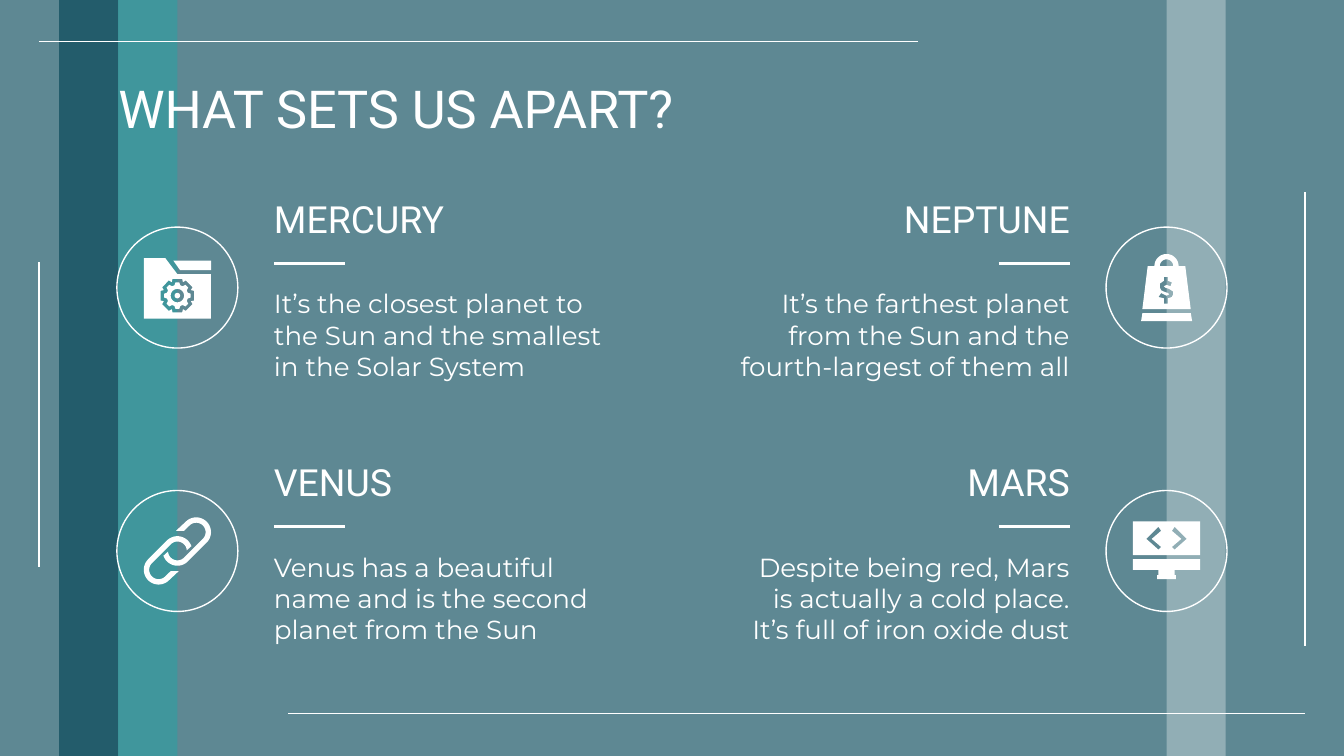
from dataclasses import dataclass
from math import cos, radians, sin

from lxml import etree
from pptx import Presentation
from pptx.dml.color import RGBColor
from pptx.enum.shapes import MSO_CONNECTOR, MSO_SHAPE
from pptx.enum.text import MSO_ANCHOR, MSO_AUTO_SIZE, PP_ALIGN
from pptx.oxml.ns import qn
from pptx.util import Inches, Pt

STRAIGHT = MSO_CONNECTOR.STRAIGHT
RECTANGLE, OVAL = MSO_SHAPE.RECTANGLE, MSO_SHAPE.OVAL
LEFT, RIGHT = PP_ALIGN.LEFT, PP_ALIGN.RIGHT
TOP = MSO_ANCHOR.TOP
NO_AUTOFIT = MSO_AUTO_SIZE.NONE
TITLE_ONLY = 5


@dataclass(frozen=True)
class Theme:
    white: str = "FFFFFF"
    deep: str = "014355"
    teal: str = "20A7A7"
    heading_font: str = "Roboto"
    body_font: str = "Montserrat"
    title_size: int = 28
    heading_size: int = 20
    body_size: int = 14
    thin: float = 0.75
    thick: float = 1.5


THEME = Theme()
WIDTH = 10
HEIGHT = WIDTH * 9 / 16
BAND_WIDTH = 0.44
TEXT_WIDTH = 2.7
INSET = 0.1
CIRCLE = 0.9


def write_text(shape, text, *, font, size, align=LEFT, color=THEME.white):
    frame = shape.text_frame
    frame.word_wrap = True
    frame.auto_size = NO_AUTOFIT
    frame.vertical_anchor = TOP
    frame.margin_left = frame.margin_right = Inches(INSET)
    frame.margin_top = frame.margin_bottom = Inches(INSET)
    paragraph = frame.paragraphs[0]
    paragraph.alignment = align
    paragraph.line_spacing = 1.0
    paragraph.space_before = Pt(0)
    run = paragraph.add_run()
    run.text = text
    run.font.name = font
    run.font.size = Pt(size)
    run.font.color.rgb = RGBColor.from_string(color)


def add_text_box(slide, left, top, height, text, **text_format):
    box = slide.shapes.add_textbox(Inches(left), Inches(top), Inches(TEXT_WIDTH), Inches(height))
    write_text(box, text, **text_format)


def fill_shape(shape, color, opacity=100):
    shape.shadow.inherit = False
    shape.fill.solid()
    shape.fill.fore_color.rgb = RGBColor.from_string(color)
    shape.line.fill.background()
    if opacity < 100:
        color_element = shape.fill._xPr.find(qn("a:solidFill"))[0]
        etree.SubElement(color_element, qn("a:alpha"), val=str(opacity * 1000))


def add_line(slide, start, end, weight=THEME.thin):
    line = slide.shapes.add_connector(STRAIGHT, *map(Inches, start + end))
    line.line.color.rgb = RGBColor.from_string(THEME.white)
    line.line.width = Pt(weight)
    etree.SubElement(line._element.spPr, qn("a:effectLst"))


def add_outline(slide, center, *contours):
    center_x, center_y = center
    placed = [
        [(Inches(center_x + x), Inches(center_y + y)) for x, y in contour]
        for contour in contours
    ]
    builder = slide.shapes.build_freeform(*placed[0][0])
    for index, contour in enumerate(placed):
        if index:
            builder.move_to(*contour[0])
        builder.add_line_segments(contour[1:], close=True)
    fill_shape(builder.convert_to_shape(), THEME.white)


def polar(center, radius, angle):
    turn = radians(angle)
    return center[0] + radius * cos(turn), center[1] + radius * sin(turn)


def arc(center, radius, start, end, steps=24):
    return [polar(center, radius, start + (end - start) * step / steps) for step in range(steps + 1)]


def mirrored(points):
    return [(-x, y) for x, y in reversed(points)]


def rectangle(left, top, right, bottom):
    return [(left, top), (right, top), (right, bottom), (left, bottom)]


def gear(center, tip, root, tip_angle, root_angle):
    corners = [(-root_angle, root), (-tip_angle, tip), (tip_angle, tip), (root_angle, root)]
    return [
        polar(center, radius, 45 * tooth + angle)
        for tooth in range(8)
        for angle, radius in corners
    ]


def draw_folder(slide, center):
    hub = (0, 0.06)
    folder = [(-0.25, -0.22), (-0.09, -0.22), (0, -0.1), (0.25, -0.1), (0.25, 0.23), (-0.25, 0.23)]
    add_outline(slide, center, folder, gear(hub, 0.13, 0.11, 16, 22))
    add_outline(slide, center, [(-0.03, -0.2), (0.25, -0.2), (0.25, -0.13), (0.02, -0.13)])
    add_outline(slide, center, gear(hub, 0.1, 0.08, 8, 16), arc(hub, 0.05, 0, 360))
    add_outline(slide, center, arc(hub, 0.02, 0, 360))


def draw_chain(slide, center):
    upper, lower = (0.14, -0.14), (0, 0)
    outer, inner = 0.11, 0.07
    link = (
        [(-0.01, -0.15)]
        + arc(upper, outer, -135, 45)
        + arc(lower, outer, 45, 161)
        + arc(lower, inner, 176, 45)
        + arc(upper, inner, 45, -135)
        + [(0.05, -0.15)]
    )
    add_outline(slide, center, link)
    add_outline(slide, center, [(-x, -y) for x, y in link])


def draw_bag(slide, center):
    hinge = (0, -0.16)
    bag = arc(hinge, 0.09, 180, 360) + [(0.14, -0.16), (0.18, 0.16), (-0.18, 0.16), (-0.14, -0.16)]
    dollar = [
        (-0.02, -0.08), (0.01, -0.08), (0.01, -0.05), (0.04, -0.04), (0.03, -0.01), (0, -0.02),
        (-0.02, -0.01), (-0.01, 0), (0.02, 0.01), (0.05, 0.03), (0.05, 0.05), (0.04, 0.07),
        (0.01, 0.08), (0.01, 0.12), (-0.02, 0.12), (-0.02, 0.08), (-0.06, 0.07), (-0.04, 0.04),
        (-0.02, 0.05), (0, 0.06), (0.02, 0.05), (0.01, 0.04), (-0.02, 0.03), (-0.04, 0.02),
        (-0.05, 0), (-0.05, -0.03), (-0.02, -0.05),
    ]
    add_outline(slide, center, bag, arc(hinge, 0.05, 180, 360), dollar)
    add_outline(slide, center, [(-0.18, 0.19), (0.18, 0.19), (0.19, 0.25), (-0.19, 0.25)])


def draw_monitor(slide, center):
    chevron = [(-0.06, -0.18), (-0.04, -0.15), (-0.11, -0.09), (-0.04, -0.03), (-0.06, -0.01), (-0.15, -0.09)]
    stand = [(-0.25, 0.06), (-0.25, 0.14), (-0.06, 0.14), (-0.06, 0.18), (-0.07, 0.18), (-0.07, 0.21)]
    add_outline(slide, center, rectangle(-0.25, -0.22, 0.25, 0.03), chevron, mirrored(chevron))
    add_outline(slide, center, stand + mirrored(stand))


def add_backdrop(slide):
    bands = [
        (0, WIDTH, THEME.deep, 63),
        (0.44, BAND_WIDTH, THEME.deep, 63),
        (0.44 + BAND_WIDTH, BAND_WIDTH, THEME.teal, 47),
        (8.68, BAND_WIDTH, THEME.white, 32),
    ]
    for left, width, color, opacity in bands:
        band = slide.shapes.add_shape(RECTANGLE, Inches(left), 0, Inches(width), Inches(HEIGHT))
        fill_shape(band, color, opacity)
    add_line(slide, (0.29, 0.31), (6.83, 0.31))
    add_line(slide, (9.71, 1.43), (9.71, 4.81))
    add_line(slide, (9.71, 5.31), (2.14, 5.31))
    add_line(slide, (0.29, 1.95), (0.29, 4.22))


def add_title(slide, left, top, width, height, text):
    title = slide.shapes.title
    title.left, title.top, title.width, title.height = map(Inches, (left, top, width, height))
    write_text(title, text, font=THEME.heading_font, size=THEME.title_size)
    slide.shapes._spTree.append(title._element)


def add_feature(slide, left, top, heading, body, draw_icon, align):
    add_text_box(slide, left, top, 0.51, heading, font=THEME.heading_font, size=THEME.heading_size, align=align)
    add_text_box(slide, left, top + 0.68, 0.9, body, font=THEME.body_font, size=THEME.body_size, align=align)
    rule_left = left + INSET if align == LEFT else left + TEXT_WIDTH - INSET - 0.53
    add_line(slide, (rule_left, top + 0.6), (rule_left + 0.53, top + 0.6), THEME.thick)
    circle_left = left - 1.07 if align == LEFT else left + TEXT_WIDTH + 0.17
    circle_top = top + 0.33
    circle = slide.shapes.add_shape(OVAL, Inches(circle_left), Inches(circle_top), Inches(CIRCLE), Inches(CIRCLE))
    circle.shadow.inherit = False
    circle.fill.background()
    circle.line.color.rgb = RGBColor.from_string(THEME.white)
    circle.line.width = Pt(THEME.thin)
    draw_icon(slide, (circle_left + CIRCLE / 2, circle_top + CIRCLE / 2))


def main():
    presentation = Presentation()
    presentation.slide_width, presentation.slide_height = Inches(WIDTH), Inches(HEIGHT)
    slide = presentation.slides.add_slide(presentation.slide_layouts[TITLE_ONLY])
    add_backdrop(slide)
    add_title(slide, 0.78, 0.47, 8.44, 0.51, "WHAT SETS US APART?")
    features = [
        ("MERCURY", "It’s the closest planet to the Sun and the smallest in the Solar System", draw_folder),
        ("NEPTUNE", "It’s the farthest planet from the Sun and the fourth-largest of them all", draw_bag),
        ("VENUS", "Venus has a beautiful name and is the second planet from the Sun", draw_chain),
        ("MARS", "Despite being red, Mars is actually a cold place. It’s full of iron oxide dust", draw_monitor),
    ]
    columns = [(1.94, LEFT), (5.36, RIGHT)]
    for index, feature in enumerate(features):
        row, column = divmod(index, len(columns))
        left, align = columns[column]
        add_feature(slide, left, 1.36 + 1.96 * row, *feature, align)
    presentation.save("out.pptx")


if __name__ == "__main__":
    main()
